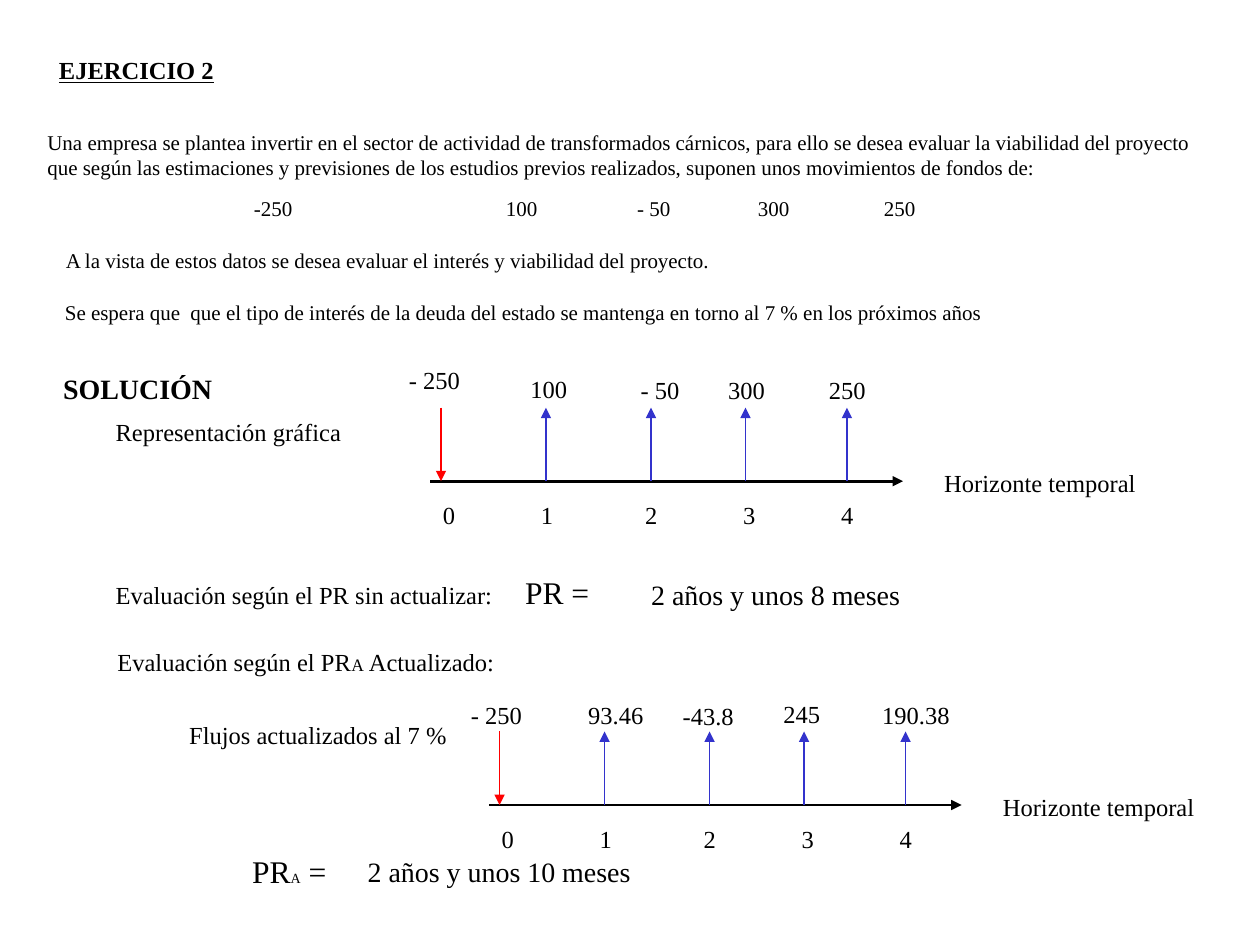
import pptx
import pptx.dml.color
import pptx.enum.shapes
import pptx.enum.text
import pptx.oxml.ns
import pptx.util
import lxml.etree

Pt = pptx.util.Pt
FONT = "Times New Roman"
BLACK, RED, BLUE = "000000", "FF0000", "3333CC"


def color(value):
    """Turn a hex string into a colour."""
    return pptx.dml.color.RGBColor.from_string(value)


def fill_text(shape, runs, bold=False, underline=False, wrap=False, stops=()):
    """Write one left-aligned paragraph from (text, size) runs."""
    frame = shape.text_frame
    frame.word_wrap = wrap
    frame.auto_size = pptx.enum.text.MSO_AUTO_SIZE.NONE
    frame.vertical_anchor = pptx.enum.text.MSO_ANCHOR.TOP
    para = frame.paragraphs[0]
    para.alignment = pptx.enum.text.PP_ALIGN.LEFT
    para.line_spacing = 1.0
    para.space_before = Pt(0)
    if stops:
        tag = pptx.oxml.ns.qn
        tabs = lxml.etree.SubElement(para._p.get_or_add_pPr(), tag("a:tabLst"))
        for stop in stops:
            lxml.etree.SubElement(tabs, tag("a:tab"), pos=str(Pt(stop)), algn="l")
    for text, size in runs:
        span = para.add_run()
        span.text = text
        span.font.name = FONT
        span.font.size = Pt(size)
        span.font.bold = bold
        span.font.underline = underline
        span.font.color.rgb = color(BLACK)


def add_text(page, box, runs, **style):
    """Place a text box at (left, top, width, height)."""
    shape = page.shapes.add_textbox(*(Pt(length) for length in box))
    fill_text(shape, runs, **style)


def add_arrow(page, start, end, stroke, width):
    """Draw a straight arrow from start to end."""
    arrow = page.shapes.add_connector(
        pptx.enum.shapes.MSO_CONNECTOR.STRAIGHT,
        *(Pt(length) for length in (*start, *end)))
    arrow.line.color.rgb = color(stroke)
    arrow.line.width = Pt(width)
    properties = arrow._element.spPr
    tag = pptx.oxml.ns.qn
    lxml.etree.SubElement(properties.find(tag("a:ln")), tag("a:tailEnd"), type="triangle")
    lxml.etree.SubElement(properties, tag("a:effectLst"))


def add_title(page, box):
    """Move and format the title placeholder."""
    title = page.shapes.title
    title.left, title.top, title.width, title.height = (Pt(length) for length in box)
    fill_text(title, [("EJERCICIO 2", 14)], bold=True, underline=True)


def add_statement(page, box):
    """Write the exercise statement and its cash flows."""
    left, top, width, height = box
    add_text(page, (left, top, width, 36), [(
        "Una empresa se plantea invertir en el sector de actividad de transformados "
        "cárnicos, para ello se desea evaluar la viabilidad del proyecto que según las "
        "estimaciones y previsiones de los estudios previos realizados, suponen unos "
        "movimientos de fondos de:", 12)], wrap=True)
    add_text(page, (left + 118, top + 37.5, 400, 21.6),
             [("-250\t100\t- 50\t300\t250", 12)], wrap=True, stops=(144, 219, 288, 360))
    add_text(page, (left + 10.5, top + 67.5, 383, 21.6), [(
        "A la vista de estos datos se desea evaluar el interés y viabilidad "
        "del proyecto.", 12)])
    add_text(page, (left + 10, top + height - 21.6, 539, 21.6), [(
        "Se espera que  que el tipo de interés de la deuda del estado se mantenga "
        "en torno al 7 % en los próximos años", 12)])


def add_timeline(page, box, flows):
    """Draw a time axis with one arrow, period and value per cash flow."""
    left, top, width, height = box
    axis = top + height
    add_arrow(page, (left, axis), (left + width, axis), BLACK, 1.5)
    add_text(page, (left + 286.5, axis - 10.8, 124, 24.5), [("Horizonte temporal", 14)])
    add_text(page, (left, axis + 7.2, 253, 24.5), [("0\t1\t2\t3\t4", 14)],
             wrap=True, stops=(56, 115.5, 171.5, 227.5))
    for offset, (value, value_left, rise, value_width) in zip((6, 66, 126, 180, 238), flows):
        low, high = (left + offset, axis), (left + offset, top)
        if value.startswith("- 250"):
            add_arrow(page, high, low, RED, 1)
        else:
            add_arrow(page, low, high, BLUE, 0.75)
        add_text(page, (left + value_left, axis - rise, value_width, 24.5), [(value, 14)])


def add_plain_solution(page, box):
    """Show the flows and the payback without discounting."""
    left, top, width, height = box
    add_text(page, (left, top, 99, 26.6), [("SOLUCIÓN", 16)], bold=True)
    add_text(page, (left + 30, top + 26, 143, 24.5), [("Representación gráfica", 14)])
    add_timeline(page, (left + 217, top + 24, 270, 42), [
        ("- 250", -19.5, 70, 43), ("100", 50, 65, 35), ("- 50", 113, 64, 37),
        ("300", 163, 64, 35), ("250", 220.5, 64, 35)])
    result = top + height
    add_text(page, (left + 30, result - 25.2, 230, 24.5),
             [("Evaluación según el PR sin actualizar:", 14)])
    add_text(page, (left + 264, result - 28.8, 55.5, 28.8), [("PR =", 18)])
    add_text(page, (left + 336, result - 26.6, 199.5, 26.6),
             [("2 años y unos 8 meses", 16)], wrap=True)


def add_discounted_solution(page, box):
    """Show the discounted flows and the discounted payback."""
    left, top, width, height = box
    add_text(page, (left, top, 230.5, 24.5),
             [("Evaluación según el PR", 14), ("A", 10), (" Actualizado:", 14)])
    add_text(page, (left + 41, top + 42, 161.5, 24.5), [("Flujos actualizados al 7 %", 14)])
    add_timeline(page, (left + 219.5, top + 52, 270, 42), [
        ("- 250", -17.5, 63.5, 43), ("93.46", 49.5, 63.5, 46), ("-43.8", 103.5, 63, 43),
        ("245", 161, 64, 35), ("190.38", 217.5, 63.5, 53)])
    result = top + height
    add_text(page, (left + 77, result - 28.8, 61, 28.8),
             [("PR", 18), ("A", 8), (" =", 18)])
    add_text(page, (left + 143, result - 27.5, 165, 26.6), [("2 años y unos 10 meses", 16)])


def main():
    """Build the slide and save it."""
    deck = pptx.Presentation()
    deck.slide_width, deck.slide_height = Pt(720), Pt(540)
    page = deck.slides.add_slide(deck.slide_layouts[5])
    add_title(page, (26.5, 28, 103, 24.5))
    add_statement(page, (20, 70.5, 678, 119))
    add_plain_solution(page, (29, 209, 630, 144))
    add_discounted_solution(page, (60, 366, 630, 146))
    deck.save("out.pptx")


if __name__ == "__main__":
    main()
